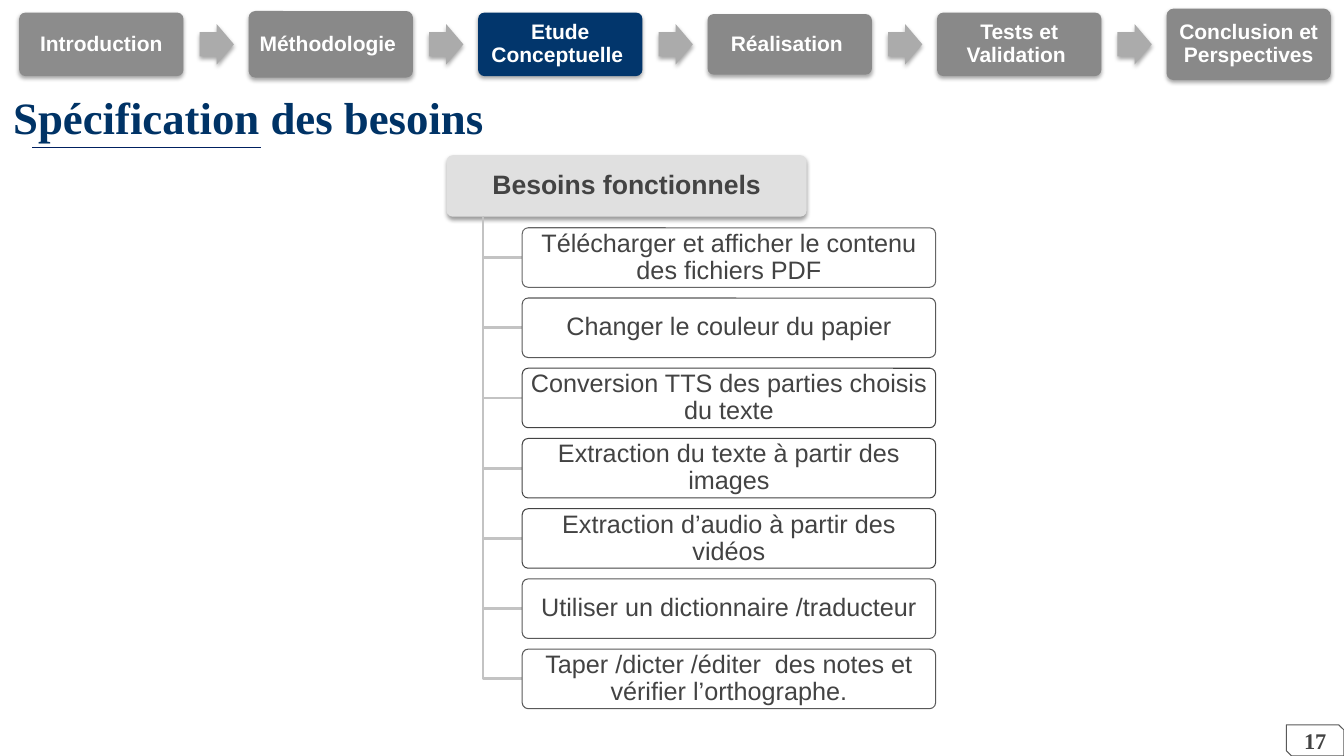
from dataclasses import dataclass

from lxml.etree import SubElement
from pptx import Presentation
from pptx.dml.color import RGBColor
from pptx.enum.shapes import MSO_CONNECTOR, MSO_SHAPE
from pptx.enum.text import MSO_ANCHOR, MSO_AUTO_SIZE, PP_ALIGN
from pptx.oxml.ns import qn
from pptx.util import Inches, Pt


@dataclass(frozen=True)
class Theme:
    title_font: str = "Times New Roman"
    body_font: str = "Arial"
    title_size: int = 32
    heading_size: int = 19
    item_size: int = 18
    step_size: int = 15
    number_size: int = 16
    title: str = "003366"
    rule: str = "002060"
    text: str = "434343"
    white: str = "FFFFFF"
    heading_fill: str = "E0E0E0"
    branch: str = "C3C3C3"
    first_step: str = "8C8C8C"
    step: str = "898989"
    active_step: str = "02366C"
    arrow: str = "ABABAB"
    edge_light: str = "666666"
    edge: str = "595959"
    edge_dark: str = "434343"


theme = Theme()


def add_box(kind, left, top, width, height, fill=None, line=None, shadow=None):
    box = page.shapes.add_shape(kind, Inches(left), Inches(top), Inches(width), Inches(height))
    if kind == MSO_SHAPE.ROUNDED_RECTANGLE:
        box.adjustments[0] = 0.1
    if fill:
        box.fill.solid()
        box.fill.fore_color.rgb = RGBColor.from_string(fill)
    else:
        box.fill.background()
    if line:
        box.line.color.rgb = RGBColor.from_string(line)
        box.line.width = Pt(0.75)
    else:
        box.line.fill.background()
    box.shadow.inherit = False
    if shadow:
        opacity, distance = shadow
        effects = box._element.spPr.find(qn("a:effectLst"))
        outer = SubElement(effects, qn("a:outerShdw"), blurRad=str(Pt(3.1)),
                           dist=str(Pt(distance)), dir="5400000", rotWithShape="0")
        black = SubElement(outer, qn("a:srgbClr"), val="000000")
        SubElement(black, qn("a:alpha"), val=str(opacity * 1000))
    return box


def write(box, text, size, color, font=theme.body_font, bold=False,
          align=PP_ALIGN.CENTER, spacing=0.9, inset=(0.04, 0.03)):
    frame = box.text_frame
    frame.word_wrap = True
    frame.auto_size = MSO_AUTO_SIZE.NONE
    frame.vertical_anchor = MSO_ANCHOR.MIDDLE
    frame.margin_left = frame.margin_right = Inches(inset[0])
    frame.margin_top = frame.margin_bottom = Inches(inset[1])
    para = frame.paragraphs[0]
    para.alignment = align
    para.line_spacing = spacing
    span = para.add_run()
    span.text = text
    span.font.name = font
    span.font.size = Pt(size)
    span.font.bold = bold
    span.font.color.rgb = RGBColor.from_string(color)


deck = Presentation()
deck.slide_width = Inches(13.33)
deck.slide_height = Inches(7.5)
page = deck.slides.add_slide(deck.slide_layouts[5])

title = page.shapes.title
title.left, title.top = Inches(0), Inches(0.77)
title.width, title.height = Inches(5.73), Inches(0.77)
write(title, "Spécification des besoins", theme.title_size, theme.title, font=theme.title_font,
      bold=True, align=PP_ALIGN.LEFT, spacing=1.0, inset=(0.13, 0.13))

rule = page.shapes.add_connector(MSO_CONNECTOR.STRAIGHT, Inches(0.32), Inches(1.46),
                                 Inches(2.59), Inches(1.46))
rule.line.color.rgb = RGBColor.from_string(theme.rule)
rule.line.width = Pt(0.75)
SubElement(rule._element.spPr, qn("a:effectLst"))

number = add_box(MSO_SHAPE.SNIP_2_DIAG_RECTANGLE, 12.76, 7.19, 0.57, 0.31, line=theme.edge)
write(number, "17", theme.number_size, theme.text, font=theme.title_font, bold=True,
      spacing=1.0, inset=(0.13, 0.13))

heading = add_box(MSO_SHAPE.ROUNDED_RECTANGLE, 4.43, 1.54, 3.57, 0.61,
                  fill=theme.heading_fill, shadow=(38, 1.6))
write(heading, "Besoins fonctionnels", theme.heading_size, theme.text, bold=True)

needs = [
    ("Télécharger et afficher le contenu des fichiers PDF", theme.edge_light),
    ("Changer le couleur du papier", theme.edge),
    ("Conversion TTS des parties choisis du texte", theme.edge_dark),
    ("Extraction du texte à partir des images", theme.edge_dark),
    ("Extraction d’audio à partir des vidéos", theme.edge_dark),
    ("Utiliser un dictionnaire /traducteur", theme.edge),
    ("Taper /dicter /éditer  des notes et vérifier l’orthographe.", theme.edge),
]
trunk_left, trunk_top = 4.79, 2.15
need_left, need_top, need_width, need_height = 5.18, 2.26, 4.1, 0.59
need_pitch = (6.44 - need_top) / (len(needs) - 1)
for index, (text, edge) in enumerate(needs):
    top = need_top + index * need_pitch
    middle = top + need_height / 2
    outline = page.shapes.build_freeform(Inches(trunk_left), Inches(trunk_top))
    outline.add_line_segments([(Inches(trunk_left), Inches(middle)),
                               (Inches(need_left), Inches(middle))], close=False)
    branch = outline.convert_to_shape()
    branch.fill.background()
    branch.line.color.rgb = RGBColor.from_string(theme.branch)
    branch.line.width = Pt(2)
    branch.shadow.inherit = False
    need = add_box(MSO_SHAPE.ROUNDED_RECTANGLE, need_left, top, need_width, need_height,
                   fill=theme.white, line=edge)
    write(need, text, theme.item_size, theme.text)

steps = [
    ("Introduction", 0.63, theme.first_step),
    ("Méthodologie ", 0.66, theme.step),
    ("Etude Conceptuelle ", 0.63, theme.active_step),
    ("Réalisation ", 0.6, theme.step),
    ("Tests et Validation ", 0.63, theme.step),
    ("Conclusion et Perspectives", 0.71, theme.step),
]
step_left, step_middle, step_width = 0.19, 0.44, 1.63
step_pitch = (11.57 - step_left) / (len(steps) - 1)
step_shadow = (35, 1.8)
for index, (text, height, fill) in enumerate(steps):
    left = step_left + index * step_pitch
    step = add_box(MSO_SHAPE.ROUNDED_RECTANGLE, left, step_middle - height / 2, step_width, height,
                   fill=fill, shadow=step_shadow)
    write(step, text, theme.step_size, theme.white, bold=True, inset=(0.06, 0.06))
    if index < len(steps) - 1:
        arrow = add_box(MSO_SHAPE.RIGHT_ARROW, left + 1.79, 0.24, 0.34, 0.4,
                        fill=theme.arrow, shadow=step_shadow)
        arrow.adjustments[0] = 0.6

deck.save("out.pptx")
